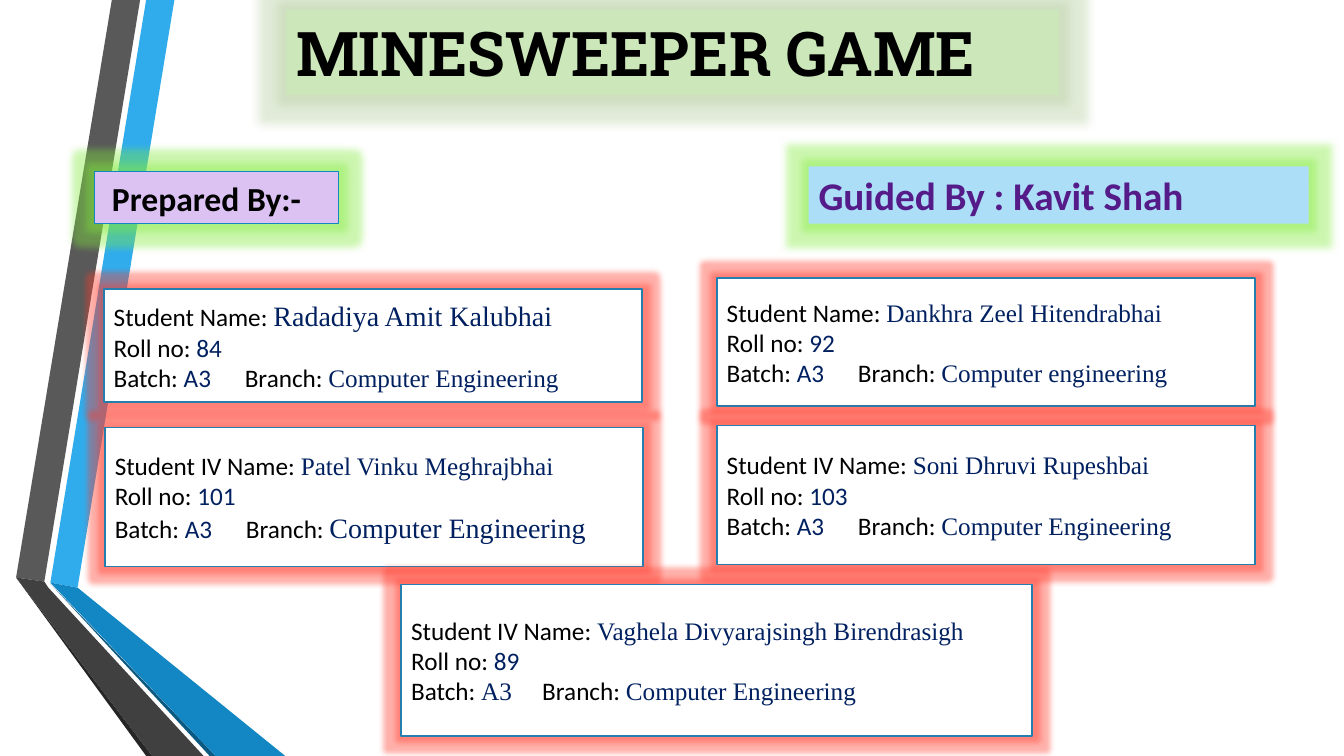
import pptx
import pptx.util
import pptx.dml.color
import pptx.enum.shapes
import pptx.enum.text
import pptx.oxml
import pptx.oxml.ns

Inches = pptx.util.Inches
Pt = pptx.util.Pt


class Theme:
    sans, serif, slab = "Calibri", "Times New Roman", "Roboto Slab"
    body, large, label, guide, title = 18, 20, 24, 28, 44
    black, white, navy, purple = "000000", "FFFFFF", "002060", "541B89"
    edge, blue = "247FAF", "1287C3"
    mint, lilac, sky = "CCE7B9", "DBC2F3", "ACDEF7"
    red, lime, sage = "FF3B2B", "82EB3C", "B4CD9E"


def color(code):
    return pptx.dml.color.RGBColor.from_string(code)


class Deck:
    def __init__(self, theme):
        self.theme = theme
        self.file = pptx.Presentation()
        self.file.slide_width = Inches(13.33)
        self.file.slide_height = Inches(7.5)
        self.slide = self.file.slides.add_slide(self.file.slide_layouts[6])

    def band(self, fill, points):
        start, *rest = [(Inches(x), Inches(y)) for x, y in points]
        path = self.slide.shapes.build_freeform(*start)
        path.add_line_segments(rest, close=True)
        shape = path.convert_to_shape()
        shape.shadow.inherit = False
        shape.fill.solid()
        shape.fill.fore_color.rgb = color(fill)
        shape.line.fill.background()

    def box(self, place, fill, glow, size, line=None, width=0):
        """Add a rectangle with a soft glow of the given colour and point size."""
        kind = pptx.enum.shapes.MSO_SHAPE.RECTANGLE
        shape = self.slide.shapes.add_shape(kind, *map(Inches, place))
        shape.shadow.inherit = False
        shape.fill.solid()
        shape.fill.fore_color.rgb = color(fill)
        if line:
            shape.line.color.rgb = color(line)
            shape.line.width = Pt(width)
        else:
            shape.line.fill.background()
        effects = shape._element.spPr.find(pptx.oxml.ns.qn("a:effectLst"))
        effects.append(pptx.oxml.parse_xml(
            f'<a:glow {pptx.oxml.ns.nsdecls("a")} rad="{Pt(size)}">'
            f'<a:srgbClr val="{glow}"><a:alpha val="40000"/></a:srgbClr></a:glow>'))
        frame = shape.text_frame
        frame.word_wrap = True
        frame.vertical_anchor = pptx.enum.text.MSO_ANCHOR.MIDDLE
        return frame

    def style(self, run, font, size, code, bold=False):
        run.font.name = font
        run.font.size = Pt(size)
        run.font.color.rgb = color(code)
        run.font.bold = bold

    def banner(self, place, text, font, size, code, fill, glow, rad, line=None):
        frame = self.box(place, fill, glow, rad, line, 0.75)
        frame.text = text
        para = frame.paragraphs[0]
        para.alignment = pptx.enum.text.PP_ALIGN.LEFT
        self.style(para.runs[0], font, size, code, True)
        return frame

    def card(self, place, label, name, roll, branch, sizes=(18, 18), batch=Theme.sans):
        """Add a student card; sizes are those of the name and the branch."""
        t = self.theme
        frame = self.box(place, t.white, t.red, 8, t.edge, 1.25)
        rows = [
            [(label, name, t.serif, sizes[0])],
            [("Roll no: ", roll, t.sans, t.body)],
            [("Batch: ", "A3", batch, t.body),
             ("\tBranch: ", branch, t.serif, sizes[1])],
        ]
        for index, row in enumerate(rows):
            para = frame.paragraphs[0] if index == 0 else frame.add_paragraph()
            para.alignment = pptx.enum.text.PP_ALIGN.LEFT
            for key, value, font, size in row:
                for text, face, points, code in (
                        (key, t.sans, t.body, t.black), (value, font, size, t.navy)):
                    run = para.add_run()
                    run.text = text
                    self.style(run, face, points, code)
        para._p.get_or_add_pPr().append(pptx.oxml.parse_xml(
            f'<a:tabLst {pptx.oxml.ns.nsdecls("a")}>'
            f'<a:tab pos="{Inches(1.3)}" algn="l"/></a:tabLst>'))


def main():
    t = Theme()
    deck = Deck(t)

    bands = [
        ("30ACEC", [(0.5, 5.78), (0.77, 5.83), (1.73, 0), (1.45, 0)]),
        ("595959", [(1.39, 0), (1.11, 0), (0.16, 5.73), (0.44, 5.77)]),
        ("262626", [(0.16, 5.73), (1.45, 7.5), (1.51, 7.5)]),
        ("0C5A82", [(0.5, 5.79), (2.08, 7.5), (2.14, 7.5)]),
        (t.blue, [(0.5, 5.78), (2.14, 7.5), (2.83, 7.5), (0.77, 5.83)]),
        ("404040", [(2.02, 7.5), (0.48, 5.83), (0.44, 5.77), (0.16, 5.73), (1.51, 7.5)]),
    ]
    for fill, points in bands:
        deck.band(fill, points)

    first, fourth = "Student Name: ", "Student IV Name: "
    branch = "Computer Engineering"
    deck.card((7.11, 2.76, 5.34, 1.27), first, "Dankhra Zeel Hitendrabhai",
              "92", "Computer engineering")
    deck.card((1.03, 2.87, 5.34, 1.12), first, "Radadiya Amit Kalubhai",
              "84", branch, (t.large, t.body))
    deck.card((7.11, 4.22, 5.34, 1.38), fourth, "Soni Dhruvi Rupeshbai", "103", branch)
    deck.card((1.04, 4.24, 5.34, 1.38), fourth, "Patel Vinku Meghrajbhai",
              "101", branch, (t.body, t.large))
    deck.card((3.98, 5.8, 6.26, 1.5), fourth, "Vaghela Divyarajsingh Birendrasigh",
              "89", branch, batch=t.serif)

    title = deck.banner((2.84, 0.1, 7.66, 0.84), "MINESWEEPER GAME", t.slab, t.title,
                        t.black, t.mint, t.sage, 14)
    label = deck.banner((0.94, 1.7, 2.42, 0.52), "Prepared By:-", t.sans, t.label,
                        t.black, t.lilac, t.lime, 11, t.blue)
    guide = deck.banner((8.02, 1.65, 4.96, 0.57), "Guided By : Kavit Shah", t.sans,
                        t.guide, t.purple, t.sky, t.lime, 11)
    for frame in (title, guide):
        frame.vertical_anchor = pptx.enum.text.MSO_ANCHOR.TOP
        frame.auto_size = pptx.enum.text.MSO_AUTO_SIZE.SHAPE_TO_FIT_TEXT
    label.margin_left = Inches(0.17)
    label.paragraphs[0].space_before = Pt(4.8)
    label.paragraphs[0].space_after = Pt(6)

    deck.file.save("out.pptx")


if __name__ == "__main__":
    main()
